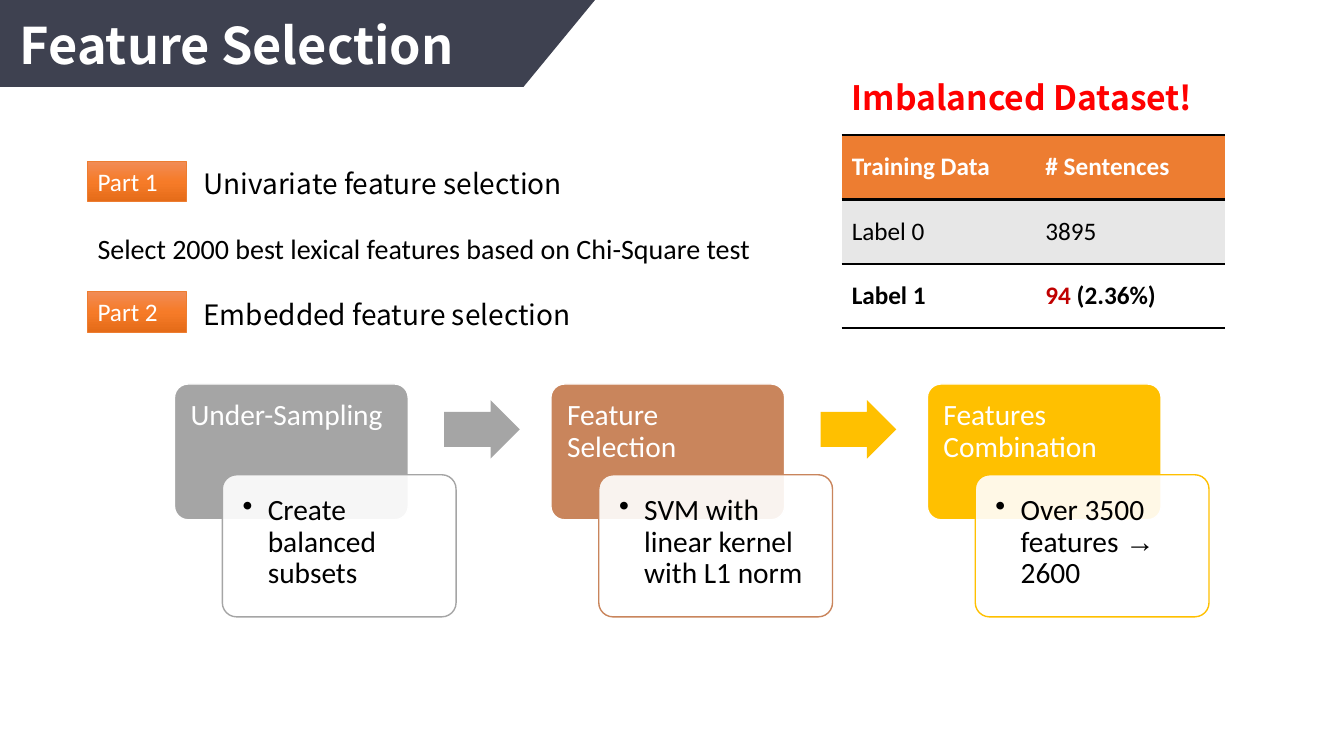
from copy import deepcopy
from dataclasses import dataclass
from typing import Optional

from lxml.etree import SubElement
from pptx import Presentation
from pptx.dml.color import RGBColor
from pptx.enum.shapes import MSO_SHAPE as SHAPE
from pptx.enum.text import MSO_ANCHOR as ANCHOR, MSO_AUTO_SIZE as AUTOSIZE
from pptx.oxml.ns import qn
from pptx.util import Pt

SANS, CJK, SERIF = "Calibri", "Noto Sans CJK SC", "Times New Roman"
WHITE = RGBColor(0xFF, 0xFF, 0xFF)
BLACK = RGBColor(0, 0, 0)
RED = RGBColor(0xFF, 0, 0)
DARK_RED = RGBColor(0xC0, 0, 0)
SLATE = RGBColor(0x3E, 0x41, 0x50)
ORANGE = RGBColor(0xED, 0x7D, 0x31)
ORANGE_STOPS = (RGBColor(0xF1, 0x8C, 0x57), RGBColor(0xF6, 0x7B, 0x28),
                RGBColor(0xE5, 0x6C, 0x19))
GREY = RGBColor(0xA5, 0xA5, 0xA5)
BROWN = RGBColor(0xC9, 0x85, 0x5C)
YELLOW = RGBColor(0xFF, 0xC0, 0)
BAND = RGBColor(0xE7, 0xE7, 0xE7)


@dataclass
class Run:
    text: str
    size: float
    font: str = SANS
    color: RGBColor = BLACK
    bold: bool = False


@dataclass
class Part:
    label: str
    heading: str
    top: float


@dataclass
class Step:
    title: str
    detail: list[Run]
    color: RGBColor
    arrow: Optional[RGBColor] = None


@dataclass
class Row:
    cells: list[list[Run]]
    fill: RGBColor
    top_line: bool = False
    bottom_line: bool = False


def add_runs(p, runs: list[Run]) -> None:
    for run in runs:
        r = p.add_run()
        r.text = run.text
        r.font.name, r.font.size = run.font, Pt(run.size)
        r.font.bold, r.font.color.rgb = run.bold, run.color


def add_text(s, x: float, y: float, w: float, h: float, runs: list[Run],
             wrap: bool = True) -> None:
    tf = s.shapes.add_textbox(Pt(x), Pt(y), Pt(w), Pt(h)).text_frame
    tf.word_wrap, tf.auto_size = wrap, AUTOSIZE.SHAPE_TO_FIT_TEXT
    add_runs(tf.paragraphs[0], runs)


def add_step_text(s, x: float, y: float, w: float, h: float, runs: list[Run],
                  bullet: bool = False) -> None:
    tf = s.shapes.add_textbox(Pt(x), Pt(y), Pt(w), Pt(h)).text_frame
    tf.word_wrap = True
    tf.margin_left = tf.margin_top = tf.margin_right = Pt(11.5)
    tf.margin_bottom = Pt(11.5 if bullet else 6.5)
    p = tf.paragraphs[0]
    p.line_spacing = 0.9
    if bullet:
        p.level = 1
        pPr = p._p.get_or_add_pPr()
        pPr.set("marL", str(Pt(18)))
        pPr.set("indent", str(-Pt(18)))
        SubElement(pPr, qn("a:buChar")).set("char", "•")
    add_runs(p, runs)


def add_shape(s, kind: SHAPE, x: float, y: float, w: float, h: float,
              fill: RGBColor, line: Optional[RGBColor] = None):
    sp = s.shapes.add_shape(kind, Pt(x), Pt(y), Pt(w), Pt(h))
    sp.shadow.inherit = False
    sp.fill.solid()
    sp.fill.fore_color.rgb = fill
    if line is None:
        sp.line.fill.background()
    else:
        sp.line.color.rgb, sp.line.width = line, Pt(1)
    return sp


def add_part(s, part: Part) -> None:
    sp = add_shape(s, SHAPE.RECTANGLE, 62.6, part.top, 70.6, 29, ORANGE, ORANGE)
    sp.line.width = Pt(0.5)
    sp.fill.gradient()
    sp.fill.gradient_angle = 270
    stops = sp._element.spPr.find(".//" + qn("a:gsLst"))
    stops.insert(1, deepcopy(stops[0]))
    for i, (stop, color) in enumerate(zip(sp.fill.gradient_stops, ORANGE_STOPS)):
        stop.position, stop.color.rgb = i / 2, color
    tf = sp.text_frame
    tf.word_wrap, tf.vertical_anchor = True, ANCHOR.TOP
    tf.auto_size = AUTOSIZE.SHAPE_TO_FIT_TEXT
    p = tf.paragraphs[0]
    p.alignment = 1
    add_runs(p, [Run(part.label, 18, color=WHITE)])
    add_text(s, 138.2, part.top + 0.5, 454, 31.5, [Run(part.heading, 20, CJK)])


def add_step(s, step: Step, x: float) -> None:
    width, top, detail_x, detail_y = 167, 274.3, x + 34.2, 339.1
    card = add_shape(s, SHAPE.ROUNDED_RECTANGLE, x, top, width, 97, step.color, WHITE)
    card.adjustments[0] = 0.1
    add_step_text(s, x, top, width, 65, [Run(step.title, 21, color=WHITE)])
    box = add_shape(s, SHAPE.ROUNDED_RECTANGLE, detail_x, detail_y, width, 101.5,
                    WHITE, step.color)
    box.adjustments[0] = 0.1
    white = box._element.spPr.find(qn("a:solidFill"))[0]
    SubElement(white, qn("a:alpha")).set("val", "90000")
    add_step_text(s, detail_x + 3, detail_y + 3, width - 6, 95.5, step.detail, True)
    if step.arrow is not None:
        arrow = add_shape(s, SHAPE.RIGHT_ARROW, x + 192.7, 285.8, 54, 41.8, step.arrow)
        arrow.adjustments[0], arrow.adjustments[1] = 0.6, 0.5


def add_border(cell, side: str) -> None:
    ln = SubElement(cell._tc.get_or_add_tcPr(), qn("a:" + side))
    ln.set("w", str(Pt(2)))
    fill = SubElement(ln, qn("a:solidFill"))
    SubElement(fill, qn("a:srgbClr")).set("val", str(BLACK))


def add_counts(s, rows: list[Row]) -> None:
    table = s.shapes.add_table(len(rows), 2, Pt(601.2), Pt(96.5), Pt(274),
                               Pt(46 * len(rows))).table
    table.first_row = table.horz_banding = False
    # "No Style, No Grid"
    table._tbl.tblPr.find(qn("a:tableStyleId")).text = (
        "{2D5ABB26-0587-4C30-8999-92F81FD0307C}")
    for column, width in zip(table.columns, (138.4, 135.6)):
        column.width = Pt(width)
    for i, row in enumerate(rows):
        for cell, runs in zip(table.rows[i].cells, row.cells):
            if row.top_line:
                add_border(cell, "lnT")
            if row.bottom_line:
                add_border(cell, "lnB")
            cell.fill.solid()
            cell.fill.fore_color.rgb = row.fill
            cell.vertical_anchor = ANCHOR.MIDDLE
            add_runs(cell.text_frame.paragraphs[0], runs)


PARTS = [Part("Part 1", "Univariate feature selection", 115.2),
         Part("Part 2", "Embedded feature selection", 208.1)]
STEPS = [
    Step("Under-Sampling", [Run("Create balanced subsets", 21)], GREY, GREY),
    Step("Feature Selection", [Run("SVM with linear kernel with L1 norm", 21)],
         BROWN, YELLOW),
    Step("Features Combination",
         [Run("Over 3500 features ", 21), Run("→ ", 21, SERIF), Run("2600", 21)], YELLOW),
]
ROWS = [
    Row([[Run(t, 18, color=WHITE, bold=True)] for t in ("Training Data", "# Sentences")],
        ORANGE, top_line=True, bottom_line=True),
    Row([[Run(t, 18)] for t in ("Label 0", "3895")], BAND, top_line=True),
    Row([[Run("Label 1", 18, bold=True)],
         [Run("94", 18, color=DARK_RED, bold=True), Run(" (2.36%)", 18, bold=True)]],
        WHITE, bottom_line=True),
]


def main() -> None:
    prs = Presentation()
    prs.slide_width, prs.slide_height = Pt(960), Pt(540)
    s = prs.slides.add_slide(prs.slide_layouts[6])

    # Title banner
    outline = s.shapes.build_freeform(0, 0, scale=Pt(1))
    outline.add_line_segments([(425, 0), (374, 62), (0, 62)], close=True)
    banner = outline.convert_to_shape()
    banner.shadow.inherit = False
    banner.fill.solid()
    banner.fill.fore_color.rgb = SLATE
    banner.line.fill.background()
    add_text(s, 7.2, 6.5, 330, 51, [Run("Feature Selection", 36, CJK, WHITE, True)], False)

    # The two parts
    for part in PARTS:
        add_part(s, part)
    add_text(s, 62.6, 162, 633.6, 31.5,
             [Run("Select 2000 best lexical features based on Chi-Square test", 20)])

    # Process steps
    for i, step in enumerate(STEPS):
        add_step(s, step, 124.6 + 268.9 * i)

    # Label counts
    add_counts(s, ROWS)
    add_text(s, 601.2, 51.1, 274, 36, [Run("Imbalanced Dataset!", 24, CJK, RED, True)])
    prs.save("out.pptx")


if __name__ == "__main__":
    main()
